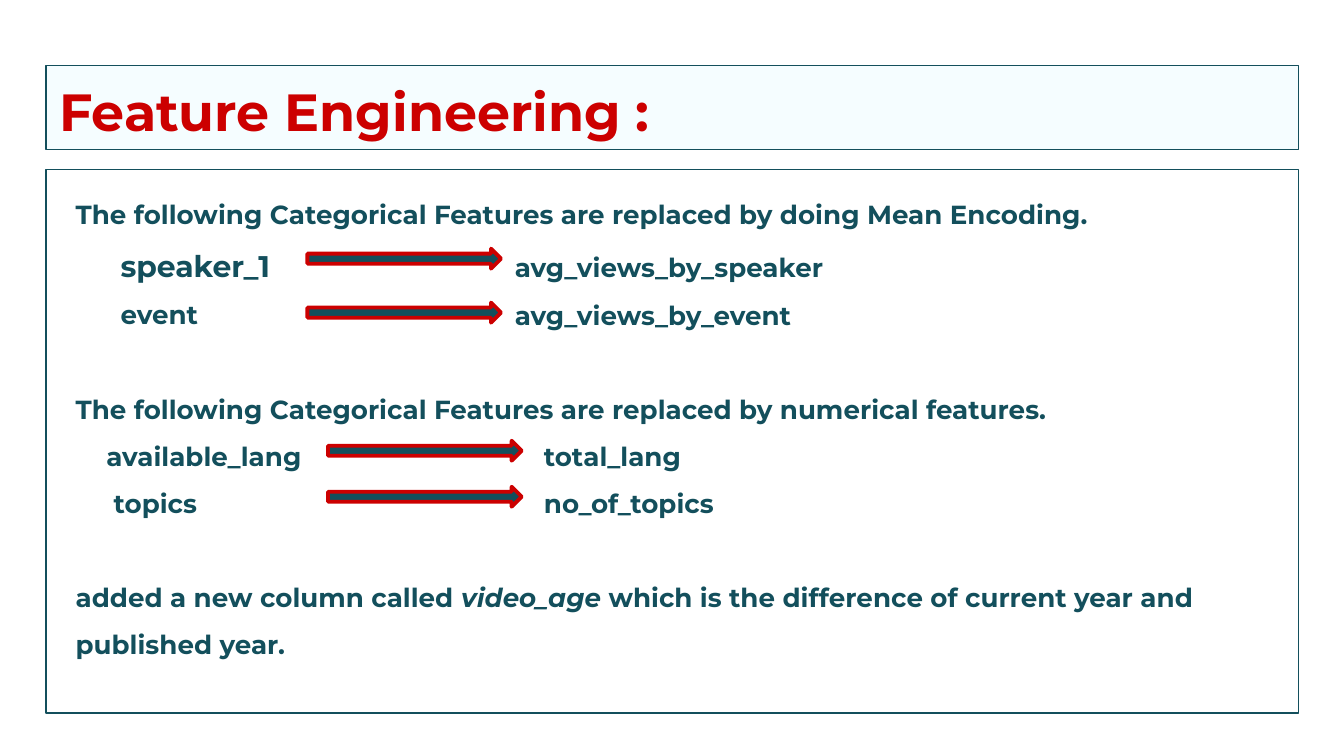
from dataclasses import dataclass

from pptx import Presentation
from pptx.dml.color import RGBColor
from pptx.enum import shapes, text
from pptx.util import Cm, Pt


@dataclass(frozen=True)
class Theme:
    font: str = "Montserrat"
    teal: RGBColor = RGBColor(0x13, 0x4F, 0x5C)
    red: RGBColor = RGBColor(0xCC, 0x00, 0x00)
    pale: RGBColor = RGBColor(0xF5, 0xFD, 0xFF)
    title_size: int = 28
    large_size: int = 16
    body_size: int = 14
    line_spacing: float = 1.5
    section_gap: float = 25.2


THEME = Theme()
PANEL_LEFT, PANEL_WIDTH = Cm(0.87), Cm(23.67)
ARROW_WIDTH, ARROW_HEIGHT = Cm(3.66), Cm(0.38)
LABEL_WIDTH, LABEL_HEIGHT = Cm(7), Cm(0.6)


def add_text(paragraph, content, size=THEME.body_size, color=THEME.teal, italic=False):
    paragraph.alignment = text.PP_ALIGN.LEFT
    run = paragraph.add_run()
    run.text = content
    font = run.font
    font.name, font.size, font.bold, font.italic = THEME.font, Pt(size), True, italic
    font.color.rgb = color


def style_frame(frame, inset=0.25, anchor=text.MSO_ANCHOR.TOP):
    frame.word_wrap = True
    frame.auto_size = text.MSO_AUTO_SIZE.NONE
    frame.vertical_anchor = anchor
    frame.margin_left = frame.margin_right = Cm(inset)
    frame.margin_top = frame.margin_bottom = Cm(inset)


def outline(shape, color, width):
    shape.line.color.rgb = color
    shape.line.width = Pt(width)


def add_title(slide, content):
    title = slide.shapes.title
    title.left, title.top, title.width, title.height = PANEL_LEFT, Cm(1.24), PANEL_WIDTH, Cm(1.59)
    title.fill.solid()
    title.fill.fore_color.rgb = THEME.pale
    outline(title, THEME.teal, 0.75)
    style_frame(title.text_frame)
    add_text(title.text_frame.paragraphs[0], content, size=THEME.title_size, color=THEME.red)


def add_panel(slide):
    panel = slide.shapes.add_shape(
        shapes.MSO_SHAPE.RECTANGLE, PANEL_LEFT, Cm(3.2), PANEL_WIDTH, Cm(10.28))
    panel.shadow.inherit = False
    panel.fill.background()
    outline(panel, THEME.teal, 0.75)
    style_frame(panel.text_frame)
    return panel.text_frame


def add_line(paragraph, *parts, indent=0.31, gap=0, size=THEME.body_size):
    """Write (words, italic) parts as one indented paragraph of the panel."""
    paragraph.line_spacing = THEME.line_spacing
    paragraph.space_before = Pt(gap)
    properties = paragraph._p.get_or_add_pPr()
    properties.set("marL", str(Cm(indent)))
    properties.set("indent", "0")
    for words, italic in parts:
        add_text(paragraph, words, size=size, italic=italic)


def add_arrow(slide, left, top):
    arrow = slide.shapes.add_shape(
        shapes.MSO_SHAPE.RIGHT_ARROW, Cm(left), Cm(top), ARROW_WIDTH, ARROW_HEIGHT)
    arrow.shadow.inherit = False
    arrow.fill.solid()
    arrow.fill.fore_color.rgb = THEME.teal
    outline(arrow, THEME.red, 2)


def add_replacement(slide, name, left, middle):
    label = slide.shapes.add_textbox(
        Cm(left), Cm(middle) - LABEL_HEIGHT // 2, LABEL_WIDTH, LABEL_HEIGHT)
    style_frame(label.text_frame, inset=0, anchor=text.MSO_ANCHOR.MIDDLE)
    add_text(label.text_frame.paragraphs[0], name)


def main():
    deck = Presentation()
    deck.slide_width, deck.slide_height = Cm(25.4), Cm(14.29)
    slide = deck.slides.add_slide(deck.slide_layouts[5])
    add_title(slide, "Feature Engineering :")

    body = add_panel(slide)
    add_line(body.paragraphs[0], (
        "The following Categorical Features are replaced by doing Mean Encoding.", False))
    add_line(body.add_paragraph(), ("speaker_1", False), indent=1.16, size=THEME.large_size)
    add_line(body.add_paragraph(), ("event", False), indent=1.16)
    add_line(body.add_paragraph(), (
        "The following Categorical Features are replaced by numerical features.", False),
        gap=THEME.section_gap)
    add_line(body.add_paragraph(), ("available_lang", False), indent=0.89)
    add_line(body.add_paragraph(), ("topics", False), indent=1.03)
    add_line(
        body.add_paragraph(),
        ("added a new column called ", False),
        ("video_age ", True),
        ("which is the difference of current year and published year.", False),
        gap=THEME.section_gap)

    mappings = (
        (5.81, 4.7, "avg_views_by_speaker", 9.73, 5.05),
        (5.81, 5.72, "avg_views_by_event", 9.73, 5.95),
        (6.2, 8.33, "total_lang", 10.28, 8.62),
        (6.2, 9.2, "no_of_topics", 10.28, 9.51),
    )
    for arrow_left, arrow_top, replacement, left, middle in mappings:
        add_arrow(slide, arrow_left, arrow_top)
        add_replacement(slide, replacement, left, middle)
    deck.save("out.pptx")


if __name__ == "__main__":
    main()
